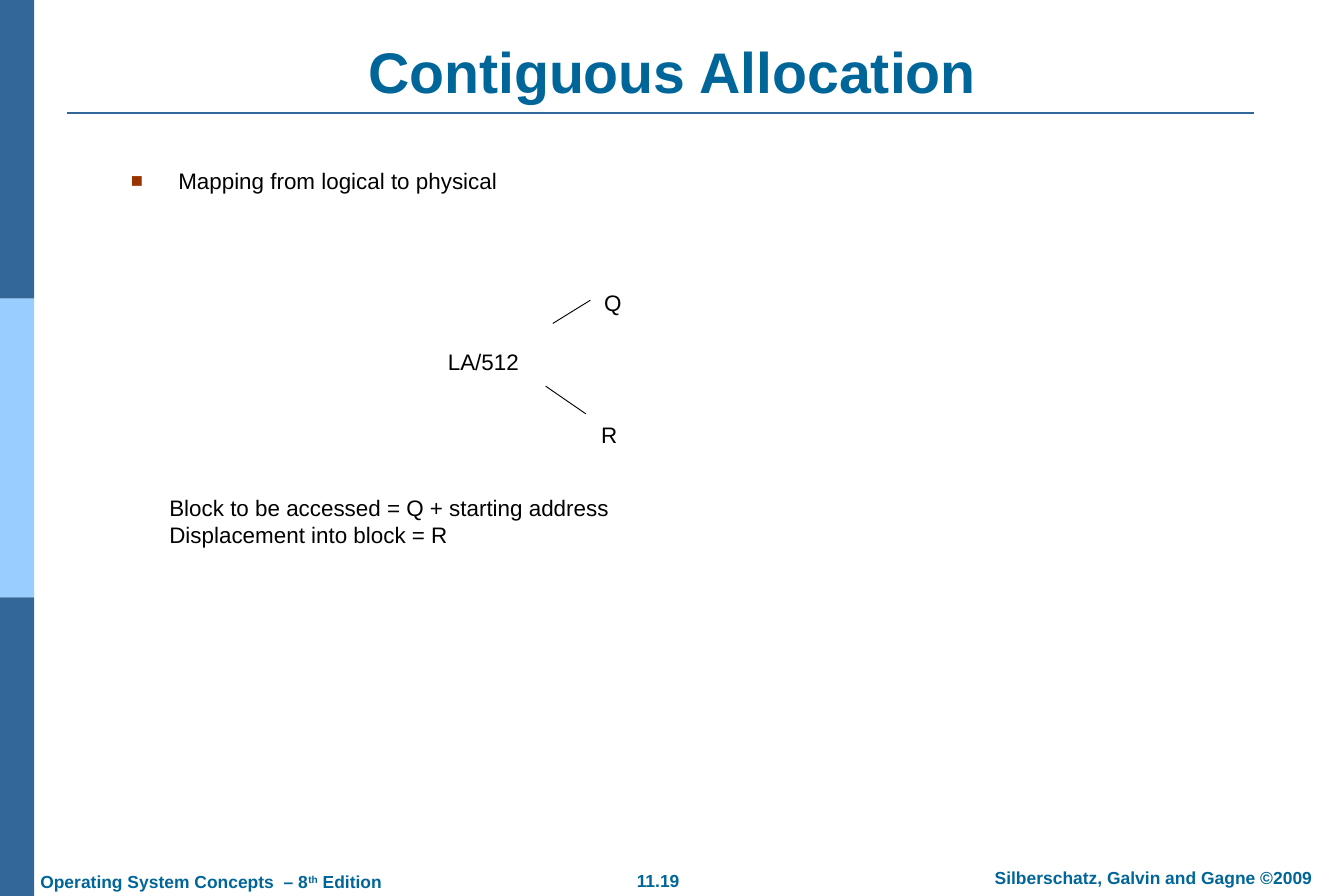
import pptx
import pptx.dml.color
import pptx.enum.shapes
import pptx.enum.text
import pptx.oxml
import pptx.oxml.ns
import pptx.util

COLS, ROWS = 15, 10
prs = pptx.Presentation()
prs.slide_width = pptx.util.Inches(15)
prs.slide_height = pptx.util.Inches(10)
COL = prs.slide_width / COLS
ROW = prs.slide_height / ROWS

NAVY, SKY, TEAL, RUST, BLACK = "336699", "99CCFF", "006699", "993300", "000000"
ALIGN = pptx.enum.text.PP_ALIGN
ANCHOR = pptx.enum.text.MSO_ANCHOR


def color(value):
    return pptx.dml.color.RGBColor.from_string(value)


def place(x, y, w, h):
    return [round(n) for n in (x * COL, y * ROW, w * COL, h * ROW)]


def add_text(slide, box, lines, size=18, fill=BLACK, bold=False,
             align=ALIGN.LEFT, anchor=ANCHOR.TOP):
    sp = slide.shapes.add_textbox(*place(*box))
    tf = sp.text_frame
    tf.word_wrap = True
    tf.vertical_anchor = anchor
    tf.margin_left = tf.margin_right = pptx.util.Inches(0.14)
    tf.margin_top = tf.margin_bottom = pptx.util.Inches(0.07)
    for i, line in enumerate(lines):
        p = tf.paragraphs[0] if i == 0 else tf.add_paragraph()
        p.alignment = align
        for text, baseline in [(line, 0)] if isinstance(line, str) else line:
            r = p.add_run()
            r.text = text
            r.font.name = "Arial"
            r.font.size = pptx.util.Pt(size)
            r.font.bold = bold
            r.font.color.rgb = color(fill)
            if baseline:
                r.font._element.set("baseline", str(baseline * 1000))
    return sp


def add_line(slide, start, end, fill=BLACK, width=0.75):
    ends = place(*start, *end)
    cn = slide.shapes.add_connector(pptx.enum.shapes.MSO_CONNECTOR.STRAIGHT, *ends)
    cn.line.color.rgb = color(fill)
    cn.line.width = pptx.util.Pt(width)
    cn._element.spPr.append(pptx.oxml.parse_xml(
        "<a:effectLst %s/>" % pptx.oxml.ns.nsdecls("a")))


def add_bullet(p, indent):
    pPr = p._p.get_or_add_pPr()
    pPr.set("marL", str(pptx.util.Inches(indent)))
    pPr.set("indent", str(-pptx.util.Inches(indent)))
    ns = pptx.oxml.ns.nsdecls("a")
    for xml in (f'<a:buClr {ns}><a:srgbClr val="{RUST}"/></a:buClr>',
                f'<a:buSzPct {ns} val="90000"/>',
                f'<a:buFont {ns} typeface="Arial"/>',
                f'<a:buChar {ns} char="■"/>'):
        pPr.append(pptx.oxml.parse_xml(xml))


def draw_sidebar(slide, box):
    x, y, w, h = box
    bands = [NAVY, SKY, NAVY]
    step = h / len(bands)
    for i, fill in enumerate(bands):
        sp = slide.shapes.add_shape(pptx.enum.shapes.MSO_SHAPE.RECTANGLE,
                                    *place(x, y + i * step, w, step))
        sp.shadow.inherit = False
        sp.fill.solid()
        sp.fill.fore_color.rgb = color(fill)
        sp.line.fill.background()


def draw_title(slide, box, text):
    x, y, w, h = box
    rule = y + h + 0.02
    add_line(slide, (x, rule), (x + w - 0.25, rule), NAVY, 1.5)
    add_text(slide, box, [text], size=46, fill=TEAL, bold=True,
             align=ALIGN.CENTER, anchor=ANCHOR.BOTTOM)


def draw_body(slide, box):
    x, y, w, h = box
    sp = add_text(slide, box, ["Mapping from logical to physical"])
    add_bullet(sp.text_frame.paragraphs[0], 0.53)
    add_text(slide, (x + 0.43, y + 3.65, w - 0.43, 1.2),
             ["Block to be accessed = Q + starting address",
              "Displacement into block = R"])


def draw_division(slide, box):
    x, y, w, h = box
    label_h = 0.45
    for text, dx, dy, label_w in (("LA/512", 0, 0.66, 2.07),
                                  ("Q", 1.82, 0, 1.32),
                                  ("R", 1.92, h - label_h, 1.04)):
        add_text(slide, (x + dx, y + dy, label_w, label_h), [text],
                 align=ALIGN.CENTER, anchor=ANCHOR.MIDDLE)
    add_line(slide, (x + 1.81, y + 0.46), (x + 2.23, y + 0.2))
    add_line(slide, (x + 1.73, y + 1.16), (x + 2.18, y + 1.47))


def draw_footer(slide, box):
    x, y, w, h = box
    edition = [("Operating System Concepts  – 8", 0), ("th", 30), (" Edition", 0)]
    for line, left, dy, width, align in (
            (edition, x, 0.04, 4.13, ALIGN.LEFT),
            ("11.19", 6.95, 0.03, 0.79, ALIGN.CENTER),
            ("Silberschatz, Galvin and Gagne ©2009", x + w - 4.25, 0, 4.25, ALIGN.CENTER)):
        add_text(slide, (left, y + dy, width, h - dy), [line], size=14,
                 fill=TEAL, bold=True, align=align)


def main():
    slide = prs.slides.add_slide(prs.slide_layouts[6])
    draw_sidebar(slide, (0, 0, 0.38, ROWS))
    draw_title(slide, (0.75, 0.4, 13.5, 0.84), "Contiguous Allocation")
    draw_body(slide, (1.32, 1.8, 12.06, 5.09))
    draw_division(slide, (4.36, 3.15, 3.14, 1.93))
    draw_footer(slide, (0.31, 9.61, COLS - 0.31, 0.39))
    prs.save("out.pptx")


if __name__ == "__main__":
    main()
